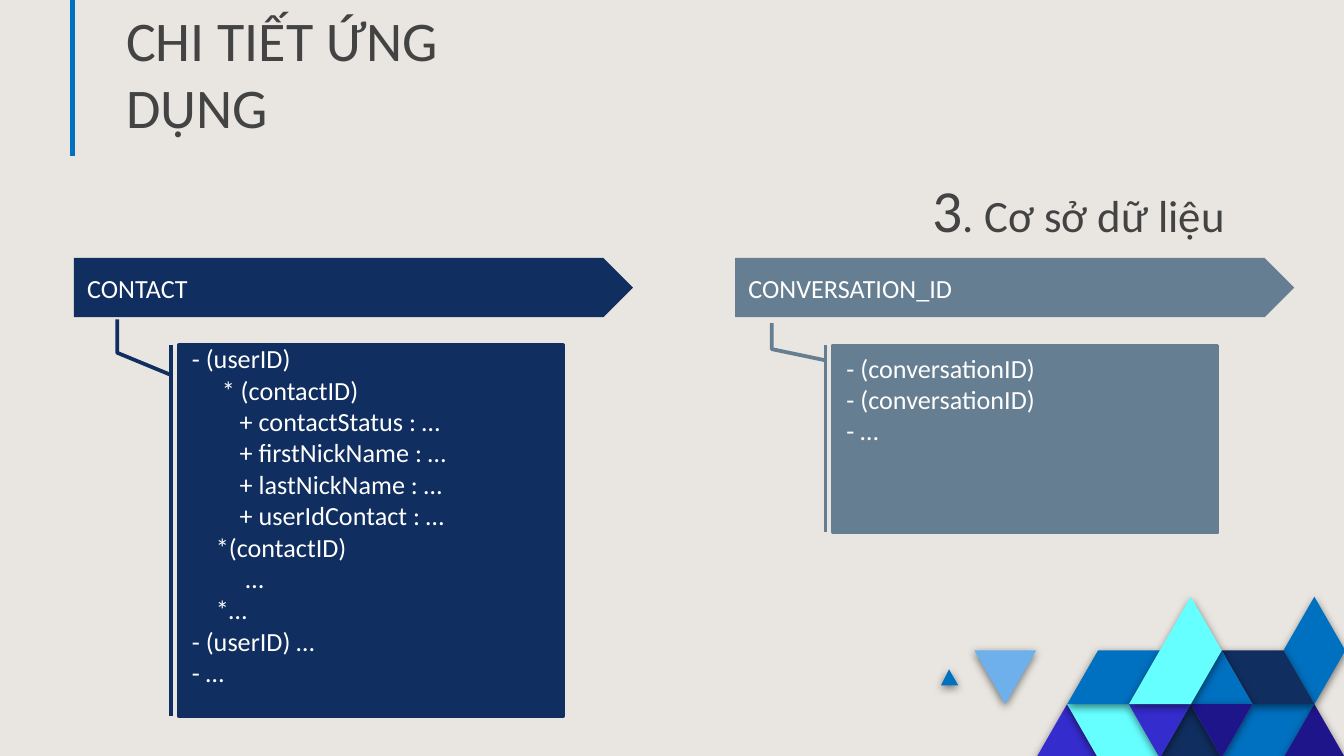
from lxml.etree import SubElement
from pptx import Presentation
from pptx.dml.color import RGBColor
from pptx.enum.shapes import MSO_CONNECTOR, MSO_SHAPE
from pptx.enum.text import MSO_ANCHOR, PP_ALIGN
from pptx.oxml.ns import qn
from pptx.util import Emu, Inches, Pt

PAPER = RGBColor(0xE9, 0xE6, 0xE1)
INK = RGBColor(0x43, 0x43, 0x43)
WHITE = RGBColor(0xFF, 0xFF, 0xFF)
BLUE = RGBColor(0x00, 0x70, 0xC0)
NAVY = RGBColor(0x10, 0x2E, 0x5F)
SLATE = RGBColor(0x66, 0x7E, 0x92)
CYAN = RGBColor(0x66, 0xFF, 0xFF)
VIOLET = RGBColor(0x35, 0x2C, 0xCD)
INDIGO = RGBColor(0x1F, 0x15, 0x8A)
SKY = RGBColor(0x6E, 0xB0, 0xEC)

SLIDE_WIDTH = Inches(10)
SLIDE_HEIGHT = Emu(SLIDE_WIDTH * 9 // 16)
MOSAIC_LEFT, MOSAIC_TOP = 7.25, 4.44
COLUMN, ROW = 0.23, 0.4
INDENT = Pt(3.2)

TILES = [
    (VIOLET, [(2, 3), (3, 2), (4, 3)]),
    (CYAN, [(3, 2), (5, 2), (6, 3), (4, 3)]),
    (BLUE, [(8, 3), (9, 2), (11, 2), (10, 3)]),
    (INDIGO, [(10, 3), (11, 2), (12, 3)]),
    (NAVY, [(6, 3), (7, 2), (8, 3)]),
    (BLUE, [(3, 2), (4, 1), (6, 1), (5, 2)]),
    (BLUE, [(-1.08, 1.65), (-0.82, 1.35), (-0.52, 1.65)]),
    (SKY, [(0, 1), (2, 1), (1, 2)]),
    (BLUE, [(10, 1), (11, 0), (12, 1), (11, 2)]),
    (NAVY, [(8, 1), (10, 1), (11, 2), (9, 2)]),
    (BLUE, [(7, 2), (8, 1), (9, 2)]),
    (INDIGO, [(7, 2), (9, 2), (8, 3)]),
    (VIOLET, [(5, 2), (7, 2), (6, 3)]),
    (CYAN, [(5, 2), (7, 0), (8, 1), (7, 2)]),
]

CONTACT_LINES = [
    (0, "- (userID)"), (5, "* (contactID)"), (8, "+ contactStatus : …"),
    (8, "+ firstNickName : …"), (8, "+ lastNickName : …"),
    (8, "+ userIdContact : …"), (4, "*(contactID)"), (9, "…"), (4, "*…"),
    (0, "- (userID) …"), (0, "- …"),
]
CONVERSATION_LINES = [
    (0, "- (conversationID)"), (0, "- (conversationID)"), (0, "- …"),
]


def apply_format(target, values):
    """Set each attribute named in a dict of format values."""
    for name, value in values.items():
        setattr(target, name, value)


def set_frame(shape, anchor, inset=0.1, top=0.1):
    """Set wrapping, anchor and insets of a text frame and return it."""
    frame = shape.text_frame
    apply_format(frame, {
        "word_wrap": True, "vertical_anchor": anchor,
        "margin_left": Inches(inset), "margin_right": Inches(inset),
        "margin_top": Inches(top), "margin_bottom": Inches(top),
    })
    return frame


def add_span(para, text, size, color):
    """Add one formatted run of text to a paragraph."""
    para.alignment = PP_ALIGN.LEFT
    span = para.add_run()
    span.text = text
    apply_format(span.font, {"name": "Calibri", "size": Pt(size)})
    span.font.color.rgb = color


def add_text(page, place, spans, space_after=0):
    """Add a bottom-anchored heading made of sized spans."""
    box = page.shapes.add_textbox(*map(Inches, place))
    para = set_frame(box, MSO_ANCHOR.BOTTOM).paragraphs[0]
    para.space_after = Pt(space_after)
    for text, size in spans:
        add_span(para, text, size, INK)


def add_rule(page, x, bottom):
    """Draw the vertical rule beside the title."""
    rule = page.shapes.add_connector(
        MSO_CONNECTOR.STRAIGHT, Inches(x), 0, Inches(x), Inches(bottom))
    rule.line.color.rgb = BLUE
    rule.line.width = Pt(2.25)
    SubElement(rule._element.spPr, qn("a:effectLst"))


def add_shadow(shape):
    """Give a shape a soft shadow that falls straight down."""
    shape.shadow.inherit = False
    effects = shape._element.spPr.find(qn("a:effectLst"))
    shadow = SubElement(effects, qn("a:outerShdw"), blurRad=str(Pt(4.5)),
                        dist=str(Pt(1.5)), dir="5400000", rotWithShape="0")
    black = SubElement(shadow, qn("a:srgbClr"), val="000000")
    SubElement(black, qn("a:alpha"), val="50000")


def add_tile(page, color, cells):
    """Draw one mosaic tile through points of the triangle grid."""
    points = [(Inches(MOSAIC_LEFT + column * COLUMN),
               Inches(MOSAIC_TOP + row * ROW)) for column, row in cells]
    builder = page.shapes.build_freeform(*points[0], scale=1.0)
    builder.add_line_segments(points[1:], close=True)
    tile = builder.convert_to_shape(Emu(0), Emu(0))
    tile.fill.solid()
    tile.fill.fore_color.rgb = color
    tile.line.fill.background()
    add_shadow(tile)


def add_block(page, kind, place, color, adjustments):
    """Add a filled preset shape without a shadow."""
    block = page.shapes.add_shape(kind, *map(Inches, place))
    block.shadow.inherit = False
    block.fill.solid()
    block.fill.fore_color.rgb = color
    for index, value in enumerate(adjustments):
        block.adjustments[index] = value
    return block


def add_banner(page, left, color, label):
    """Add the arrow-shaped heading of a collection."""
    banner = add_block(page, MSO_SHAPE.PENTAGON, (left, 1.92, 4.16, 0.44),
                       color, [0.5])
    banner.line.fill.background()
    frame = set_frame(banner, MSO_ANCHOR.MIDDLE)
    add_span(frame.paragraphs[0], label, 14, WHITE)


def add_callout(page, left, height, color, lines, tip, top):
    """Add the callout that lists the fields of a collection."""
    callout = add_block(
        page, MSO_SHAPE.LINE_CALLOUT_2_BORDER_AND_ACCENT_BAR,
        (left, 2.57, 2.86, height), color,
        [0.08, -0.02, 0.02, -0.16, tip, -0.16])
    callout.line.color.rgb = color
    callout.line.width = Pt(2)
    frame = set_frame(callout, MSO_ANCHOR.TOP, top=top)
    for index, (level, text) in enumerate(lines):
        para = frame.add_paragraph() if index else frame.paragraphs[0]
        para._p.get_or_add_pPr().set("marL", str(level * INDENT))
        add_span(para, text, 14, WHITE)


def main():
    """Build the database slide and save it."""
    deck = Presentation()
    apply_format(deck, {"slide_width": SLIDE_WIDTH, "slide_height": SLIDE_HEIGHT})
    page = deck.slides.add_slide(deck.slide_layouts[6])
    page.background.fill.solid()
    page.background.fill.fore_color.rgb = PAPER
    add_rule(page, 0.54, 1.16)
    for color, cells in TILES:
        add_tile(page, color, cells)
    add_text(page, (0.84, 0.51, 3.64, 0.63), [("CHI TIẾT ỨNG DỤNG", 30)])
    add_text(page, (6.84, 1.13, 2.72, 0.79),
             [("3", 32), (". Cơ sở dữ liệu", 24)], space_after=12)
    add_banner(page, 0.55, NAVY, "CONTACT")
    add_callout(page, 1.33, 2.76, NAVY, CONTACT_LINES, -0.07, -0.02)
    add_banner(page, 5.47, SLATE, "CONVERSATION_ID")
    add_callout(page, 6.2, 1.39, SLATE, CONVERSATION_LINES, -0.12, 0.05)
    deck.save("out.pptx")


if __name__ == "__main__":
    main()
